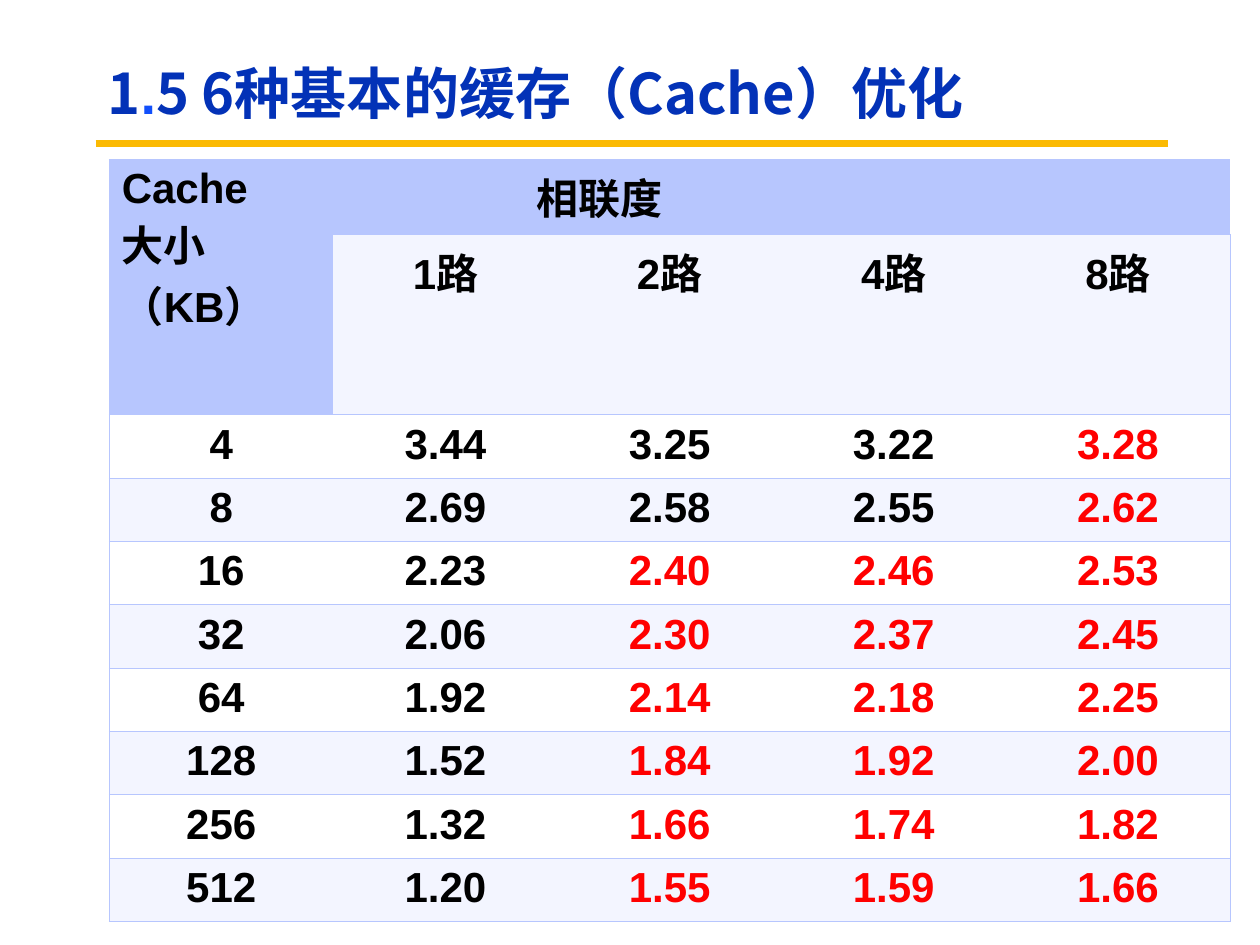
import pptx
import pptx.dml.color
import pptx.enum.shapes
import pptx.enum.text
import pptx.oxml
import pptx.oxml.ns
import pptx.util
from lxml import etree

Pt = pptx.util.Pt
RGB = pptx.dml.color.RGBColor
ALIGN = pptx.enum.text.PP_ALIGN
qn = pptx.oxml.ns.qn

NAVY = RGB(0x03, 0x32, 0xB7)
BLUE = RGB(0x11, 0x4F, 0xFB)
GOLD = RGB(0xFB, 0xBA, 0x03)
HEAD = RGB(0xB7, 0xC6, 0xFE)
PALE = RGB(0xF3, 0xF5, 0xFF)
WHITE = RGB(0xFF, 0xFF, 0xFF)
BLACK = RGB(0, 0, 0)
RED = RGB(0xFF, 0, 0)
HAN = "Noto Sans CJK SC"
PLAIN = "{2D5ABB26-0587-4C30-8999-92F81FD0307C}"  # no style, no grid

WAYS = ["1路", "2路", "4路", "8路"]
RATES = {
    4: [3.44, 3.25, 3.22, 3.28],
    8: [2.69, 2.58, 2.55, 2.62],
    16: [2.23, 2.40, 2.46, 2.53],
    32: [2.06, 2.30, 2.37, 2.45],
    64: [1.92, 2.14, 2.18, 2.25],
    128: [1.52, 1.84, 1.92, 2.00],
    256: [1.32, 1.66, 1.74, 1.82],
    512: [1.20, 1.55, 1.59, 1.66],
}


class Deck:
    def __init__(self, slide):
        self.slide = slide
        self.font = "Arial"
        self.size = 24

    def rule(self, x1, x2, y, color, width):
        kind = pptx.enum.shapes.MSO_CONNECTOR.STRAIGHT
        line = self.slide.shapes.add_connector(kind, Pt(x1), Pt(y), Pt(x2), Pt(y))
        line.line.color.rgb = color
        line.line.width = Pt(width)
        etree.SubElement(line._element.spPr, qn("a:effectLst"))

    def title(self, x, y, w, h, parts, size):
        frame = self.slide.shapes.add_textbox(Pt(x), Pt(y), Pt(w), Pt(h)).text_frame
        frame.word_wrap = True
        frame.vertical_anchor = pptx.enum.text.MSO_ANCHOR.MIDDLE
        para = frame.paragraphs[0]
        para.line_spacing = 0.9
        para.font.size = Pt(size)
        para.font.bold = True
        for text, font, color in parts:
            run = para.add_run()
            run.text = text
            run.font.name = font
            run.font.color.rgb = color
            etree.SubElement(run.font._element, qn("a:ea"), typeface=HAN)

    def grid(self, x, y, wide, highs):
        cols = 5
        shape = self.slide.shapes.add_table(
            len(highs), cols, Pt(x), Pt(y), Pt(wide * cols), Pt(sum(highs)))
        table = shape.table
        table._tbl.tblPr.find(qn("a:tableStyleId")).text = PLAIN
        for col in table.columns:
            col.width = Pt(wide)
        for row, high in zip(table.rows, highs):
            row.height = Pt(high)
        return table

    def edge(self, cell, sides):
        props = cell._tc.get_or_add_tcPr()
        for side in sides:
            line = etree.SubElement(props, qn("a:ln" + side), w=str(Pt(0.45)))
            fill = etree.SubElement(line, qn("a:solidFill"))
            etree.SubElement(fill, qn("a:srgbClr"), val=str(HEAD))

    def cell(self, table, row, col, text, fill, color=BLACK, align=ALIGN.CENTER, indent=0):
        cell = table.cell(row, col)
        last = len(table.columns) - 1
        self.edge(cell, ["L"] * (col == 0) + ["R"] * (col == last) + ["T", "B"])
        cell.fill.solid()
        cell.fill.fore_color.rgb = fill
        cell.text = text
        for para in cell.text_frame.paragraphs:
            para.alignment = align
            if indent:
                para._p.get_or_add_pPr().set("marL", str(Pt(indent)))
            para.font.name = self.font
            para.font.size = Pt(self.size)
            para.font.bold = True
            para.font.color.rgb = color
            etree.SubElement(para.font._element, qn("a:ea"), typeface=HAN)


def main():
    show = pptx.Presentation()
    show.slide_width, show.slide_height = Pt(720), Pt(540)
    deck = Deck(show.slides.add_slide(show.slide_layouts[6]))

    # Title and rule
    deck.rule(54.7, 667.2, 82.1, GOLD, 3.75)
    deck.title(54.3, 26, 574.6, 58.3, [
        ("1", HAN, NAVY),
        (".", "Arial", BLUE),
        ("5 6种基本的缓存（Cache）优化", HAN, NAVY),
    ], 32)

    # Table head
    table = deck.grid(62.4, 91.2, 128.1, [42.7, 103.1] + [36.2] * len(RATES))
    tops = ["Cache\n大小（KB）", "相联度", "", "", ""]
    for col, text in enumerate(tops):
        deck.cell(table, 0, col, text, HEAD, align=ALIGN.LEFT,
                  indent=108.7 if col else 0)
    deck.cell(table, 1, 0, "", HEAD)
    for col, way in enumerate(WAYS, 1):
        deck.cell(table, 1, col, way, PALE)
    table.cell(0, 0).merge(table.cell(1, 0))
    table.cell(0, 1).merge(table.cell(0, 4))

    # Table body: red marks a rate above the one to its left
    for row, (size, rates) in enumerate(RATES.items(), 2):
        fill = PALE if row % 2 else WHITE
        deck.cell(table, row, 0, str(size), fill)
        for col, (prev, rate) in enumerate(zip(rates[:1] + rates, rates), 1):
            deck.cell(table, row, col, f"{rate:.2f}", fill, RED if rate > prev else BLACK)

    show.save("out.pptx")


if __name__ == "__main__":
    main()
